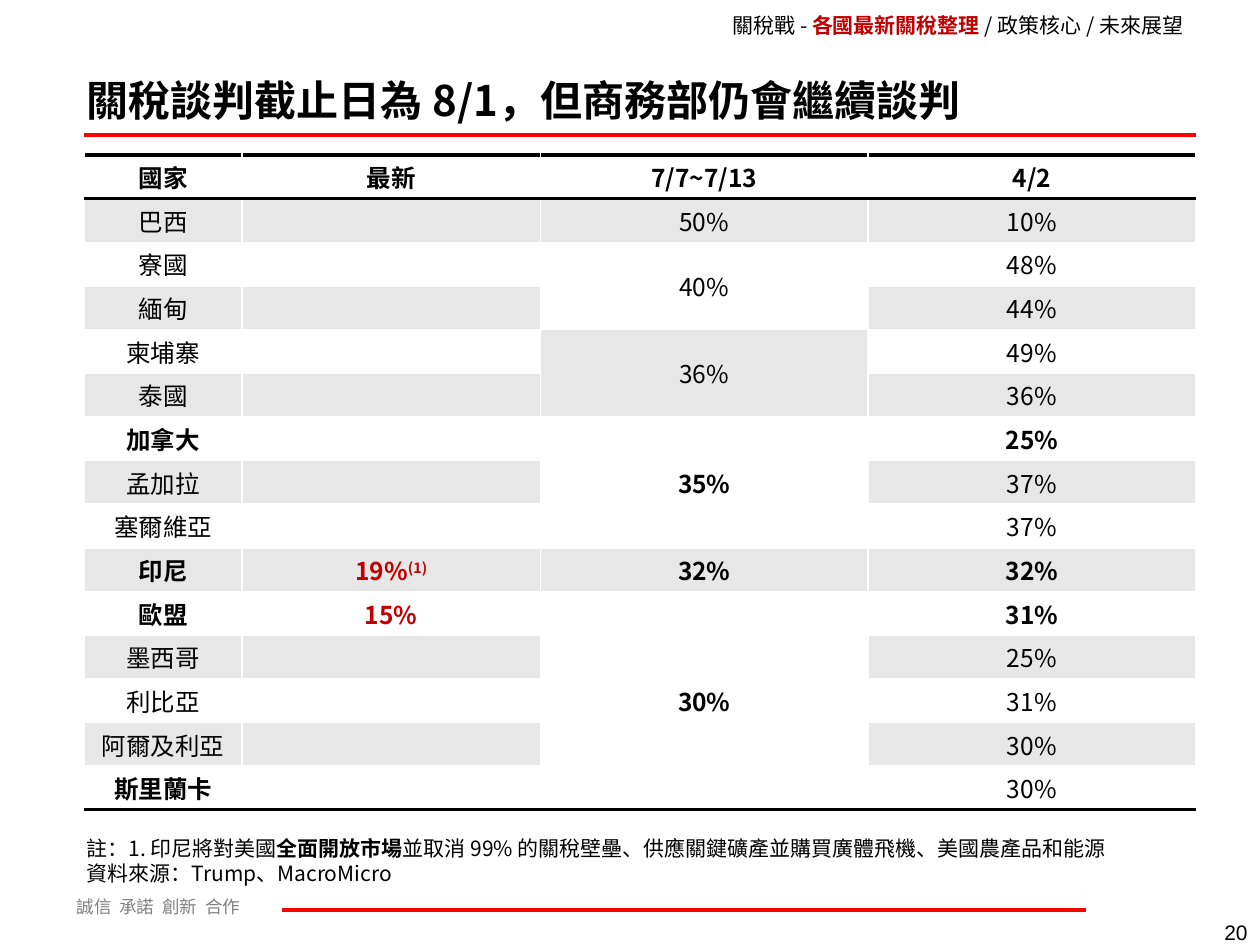
from dataclasses import dataclass

from lxml import etree
from pptx import Presentation
from pptx.dml.color import RGBColor
from pptx.enum.shapes import MSO_CONNECTOR
from pptx.enum.text import MSO_ANCHOR, PP_ALIGN
from pptx.oxml.ns import qn
from pptx.util import Inches, Pt

STRAIGHT = MSO_CONNECTOR.STRAIGHT
TOP, MIDDLE = MSO_ANCHOR.TOP, MSO_ANCHOR.MIDDLE
LEFT, CENTER, RIGHT = PP_ALIGN.LEFT, PP_ALIGN.CENTER, PP_ALIGN.RIGHT

SLIDE_WIDTH, SLIDE_HEIGHT = Inches(10), Inches(7.5)
GRID = SLIDE_WIDTH // 100


@dataclass(frozen=True)
class Theme:
    font: str = "Noto Sans CJK SC"
    number_font: str = "Arial"
    ink: str = "000000"
    accent: str = "C00000"
    rule: str = "FF0000"
    muted: str = "808080"
    plain: str = "FFFFFF"
    band: str = "E7E7E7"
    title: int = 24
    table: int = 14
    body: int = 12
    motto: int = 10
    rule_width: float = 2.25
    border_width: float = 2


@dataclass(frozen=True)
class Box:
    left: float
    top: float
    width: float
    height: float

    def lengths(self):
        return [round(n * GRID) for n in (self.left, self.top, self.width, self.height)]


THEME = Theme()
HEADER = ["國家", "最新", "7/7~7/13", "4/2"]
COLUMN_SHARES = [1.25, 2.37, 2.6, 2.6]
LATEST, JULY = 1, 2
COUNTRIES = [
    ("巴西", "10%"), ("寮國", "48%"), ("緬甸", "44%"), ("柬埔寨", "49%"),
    ("泰國", "36%"), ("加拿大", "25%"), ("孟加拉", "37%"), ("塞爾維亞", "37%"),
    ("印尼", "32%"), ("歐盟", "31%"), ("墨西哥", "25%"), ("利比亞", "31%"),
    ("阿爾及利亞", "30%"), ("斯里蘭卡", "30%"),
]
JULY_GROUPS = [("50%", 1), ("40%", 2), ("36%", 2), ("35%", 3), ("32%", 1), ("30%", 5)]
LATEST_RATES = {"印尼": ("19%", "(1)"), "歐盟": ("15%", "")}
BOLD_COUNTRIES = {"加拿大", "印尼", "歐盟", "斯里蘭卡"}
BOLD_APRIL = {"加拿大", "印尼", "歐盟"}
BOLD_JULY = {"35%", "32%", "30%"}


def style_font(font, size, color=THEME.ink, bold=False, name=THEME.font):
    font.size, font.bold, font.name = Pt(size), bold, name
    font.color.rgb = RGBColor.from_string(color)


def style_para(para, size, color=THEME.ink, bold=False, name=THEME.font, align=LEFT):
    para.alignment = align
    style_font(para.font, size, color, bold, name)
    defaults = para._p.pPr.find(qn("a:defRPr"))
    latin = defaults.find(qn("a:latin"))
    east = etree.Element(qn("a:ea"), typeface=name)
    latin.addnext(east)


def add_span(para, text, color=None, bold=None):
    span = para.add_run()
    span.text = text
    if color:
        span.font.color.rgb = RGBColor.from_string(color)
    if bold:
        span.font.bold = True
    return span


def add_text_box(page, box, anchor=TOP):
    frame = page.shapes.add_textbox(*box.lengths()).text_frame
    frame.word_wrap = True
    frame.vertical_anchor = anchor
    return frame


def add_rule(page, box):
    left, top, width, _ = box.lengths()
    rule = page.shapes.add_connector(STRAIGHT, left, top, left + width, top)
    rule.line.color.rgb = RGBColor.from_string(THEME.rule)
    rule.line.width = Pt(THEME.rule_width)
    etree.SubElement(rule._element.spPr, qn("a:effectLst"))


def add_breadcrumb(page, box):
    para = add_text_box(page, box).paragraphs[0]
    style_para(para, THEME.body, align=RIGHT)
    add_span(para, "關稅戰 - ")
    add_span(para, "各國最新關稅整理 ", THEME.accent, True)
    add_span(para, "/ 政策核心 / 未來展望")


def add_title(page, box):
    para = add_text_box(page, box, MIDDLE).paragraphs[0]
    style_para(para, THEME.title, bold=True)
    add_span(para, "關稅談判截止日為 8/1，但商務部仍會繼續談判")


def add_notes(page, box):
    frame = add_text_box(page, box)
    note, source = frame.paragraphs[0], frame.add_paragraph()
    for para in (note, source):
        style_para(para, THEME.body)
    add_span(note, "註：1. 印尼將對美國")
    add_span(note, "全面開放市場", bold=True)
    add_span(note, "並取消 99% 的關稅壁壘、供應關鍵礦產並購買廣體飛機、美國農產品和能源")
    add_span(source, "資料來源：Trump、MacroMicro")


def add_motto(page, box):
    para = add_text_box(page, box, MIDDLE).paragraphs[0]
    words = ["誠信", "承諾", "創新", "合作"]
    stops = etree.SubElement(para._p.get_or_add_pPr(), qn("a:tabLst"))
    for index in range(1, len(words)):
        etree.SubElement(stops, qn("a:tab"), pos=str(round(3.4 * GRID) * index), algn="l")
    style_para(para, THEME.motto, THEME.muted)
    add_span(para, "\t".join(words))


def add_page_number(page, box):
    para = add_text_box(page, box).paragraphs[0]
    style_para(para, THEME.body, name=THEME.number_font, align=RIGHT)
    add_span(para, "20")


def add_border(cell, sides):
    properties = cell._tc.get_or_add_tcPr()
    for index, side in enumerate(sides):
        border = etree.Element(qn(f"a:ln{side}"), w=str(Pt(THEME.border_width)))
        fill = etree.SubElement(border, qn("a:solidFill"))
        etree.SubElement(fill, qn("a:srgbClr"), val=THEME.ink)
        properties.insert(index, border)


def write_cell(cell, text, bold=False, color=THEME.ink):
    para = cell.text_frame.paragraphs[0]
    style_para(para, THEME.table, color, bold, align=CENTER)
    add_span(para, text)


def add_tariff_table(page, box):
    row_count = len(COUNTRIES) + 1
    left, top, width, height = box.lengths()
    table = page.shapes.add_table(row_count, len(HEADER), left, top, width, height).table
    for column, share in zip(table.columns, COLUMN_SHARES):
        column.width = round(width * share / sum(COLUMN_SHARES))
    for index, row in enumerate(table.rows):
        row.height = height // row_count
        for cell in row.cells:
            cell.margin_top = cell.margin_bottom = 0
            cell.vertical_anchor = MIDDLE
            cell.fill.solid()
            color = THEME.band if index % 2 else THEME.plain
            cell.fill.fore_color.rgb = RGBColor.from_string(color)
            if index == 0:
                add_border(cell, "TB")
            elif index == row_count - 1:
                add_border(cell, "B")
    for column, text in enumerate(HEADER):
        write_cell(table.cell(0, column), text, True)
    for row, (country, april) in enumerate(COUNTRIES, 1):
        write_cell(table.cell(row, 0), country, country in BOLD_COUNTRIES)
        write_cell(table.cell(row, 3), april, country in BOLD_APRIL)
        if country in LATEST_RATES:
            cell = table.cell(row, LATEST)
            rate, mark = LATEST_RATES[country]
            write_cell(cell, rate, True, THEME.accent)
            if mark:
                span = add_span(cell.text_frame.paragraphs[0], mark)
                span.font._element.set("baseline", "30000")
    row = 1
    for index, (rate, span) in enumerate(JULY_GROUPS):
        cell = table.cell(row, JULY)
        if span > 1:
            cell.merge(table.cell(row + span - 1, JULY))
        color = THEME.plain if index % 2 else THEME.band
        cell.fill.fore_color.rgb = RGBColor.from_string(color)
        write_cell(cell, rate, rate in BOLD_JULY)
        row += span
        if row == row_count:
            add_border(cell, "B")


def main():
    deck = Presentation()
    deck.slide_width, deck.slide_height = SLIDE_WIDTH, SLIDE_HEIGHT
    page = deck.slides.add_slide(deck.slide_layouts[6])
    add_motto(page, Box(5.1, 70.6, 25.2, 2.7))
    add_rule(page, Box(6.7, 10.7, 88.2, 0))
    add_rule(page, Box(22.4, 72.2, 63.8, 0))
    add_page_number(page, Box(94.9, 72.5, 5.1, 2.4))
    add_title(page, Box(5.9, 5.4, 89, 5))
    add_notes(page, Box(5.9, 65.8, 89, 5))
    add_breadcrumb(page, Box(49.2, 0.5, 45.7, 3))
    add_tariff_table(page, Box(6.7, 12.3, 88.2, 52))
    deck.save("out.pptx")


if __name__ == "__main__":
    main()
